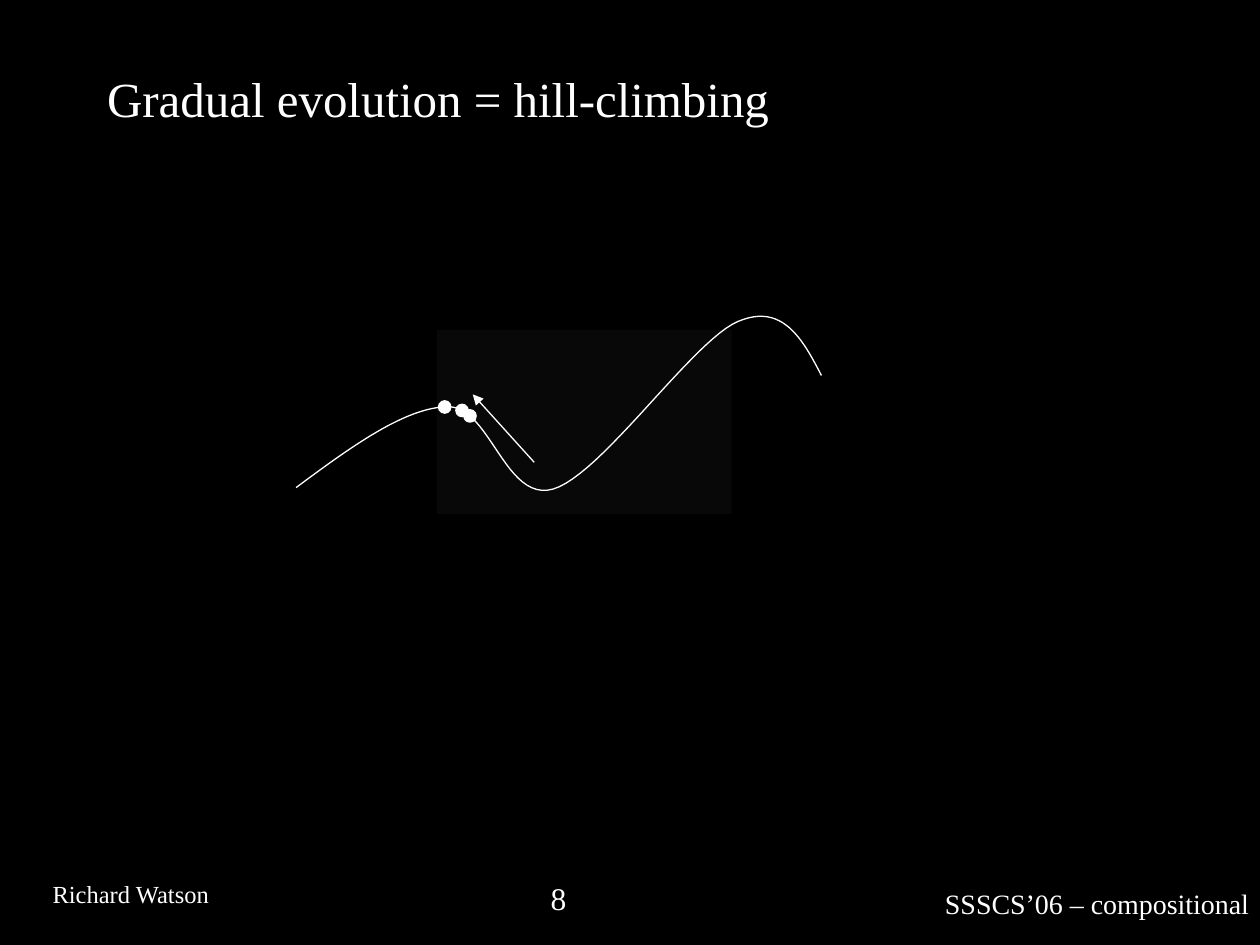
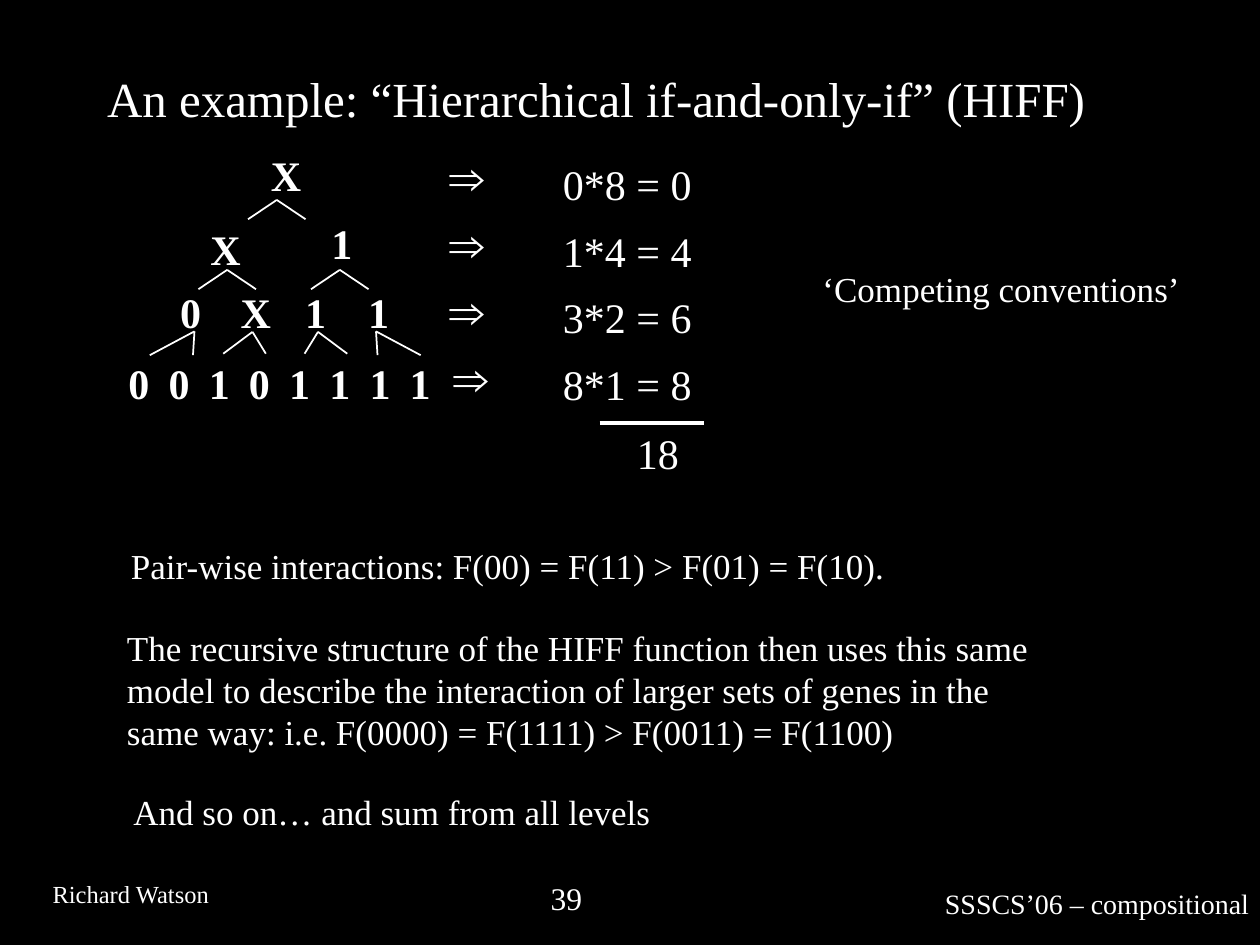
from dataclasses import dataclass

from lxml import etree
from pptx import Presentation
from pptx.dml.color import RGBColor
from pptx.enum.shapes import MSO_CONNECTOR, MSO_SHAPE
from pptx.enum.text import MSO_ANCHOR
from pptx.oxml.ns import qn
from pptx.util import Cm, Pt

STRAIGHT = MSO_CONNECTOR.STRAIGHT
RECTANGLE = MSO_SHAPE.RECTANGLE
OVAL = MSO_SHAPE.OVAL
TOP = MSO_ANCHOR.TOP
MIDDLE = MSO_ANCHOR.MIDDLE


@dataclass(frozen=True)
class Theme:
    background: RGBColor = RGBColor(0, 0, 0)
    ink: RGBColor = RGBColor(255, 255, 255)
    panel: RGBColor = RGBColor(8, 8, 8)
    font: str = "Times New Roman"
    symbol_font: str = "Arial"
    title_size: float = 28
    symbol_size: float = 28
    tree_size: float = 24
    body_size: float = 20
    page_size: float = 18
    event_size: float = 16
    author_size: float = 14
    thin: float = 0.75
    branch: float = 1
    thick: float = 2.25


class Deck:
    def __init__(self, theme):
        self.theme = theme
        self.presentation = Presentation()
        self.presentation.slide_width = Cm(25.4)
        self.presentation.slide_height = Cm(19.05)
        self.slide = None

    def add_slide(self, title, number):
        theme = self.theme
        self.slide = self.presentation.slides.add_slide(self.presentation.slide_layouts[6])
        fill = self.slide.background.fill
        fill.solid()
        fill.fore_color.rgb = theme.background
        self.text("SSSCS’06 – compositional", 18.8, 17.75, 7.19, 0.91, theme.event_size)
        self.text("Richard Watson", 0.81, 17.6, 3.8, 0.86, theme.author_size)
        self.text(str(number), 10.85, 17.6, 3.15, 1.02, theme.page_size)
        self.text(title, 1.91, 1.04, 21.59, 1.85, theme.title_size, anchor=MIDDLE)

    def text(self, words, left, top, width, height, size, font=None, bold=False,
             padded=True, anchor=TOP):
        shape = self.slide.shapes.add_textbox(Cm(left), Cm(top), Cm(width), Cm(height))
        frame = shape.text_frame
        frame.word_wrap = True
        frame.vertical_anchor = anchor
        frame.margin_left = frame.margin_right = Cm(0.25 if padded else 0)
        frame.margin_top = frame.margin_bottom = Cm(0.13 if padded else 0)
        run = frame.paragraphs[0].add_run()
        run.text = words
        run.font.name = font or self.theme.font
        run.font.size = Pt(size)
        run.font.bold = bold
        run.font.color.rgb = self.theme.ink

    def tree_text(self, words, left, top, width, bold=False):
        self.text(words, left, top, width, 1.02, self.theme.tree_size,
                  bold=bold, padded=False)

    def shape(self, kind, left, top, width, height, color, outlined=False):
        shape = self.slide.shapes.add_shape(kind, Cm(left), Cm(top), Cm(width), Cm(height))
        shape.shadow.inherit = False
        shape.fill.solid()
        shape.fill.fore_color.rgb = color
        if outlined:
            self.stroke(shape.line, self.theme.thin)
        else:
            shape.line.fill.background()

    def stroke(self, line, weight):
        line.color.rgb = self.theme.ink
        line.width = Pt(weight)

    def line(self, start, end, weight, arrow=False):
        connector = self.slide.shapes.add_connector(
            STRAIGHT, Cm(start[0]), Cm(start[1]), Cm(end[0]), Cm(end[1]))
        self.stroke(connector.line, weight)
        properties = connector._element.spPr
        if arrow:
            etree.SubElement(properties.find(qn("a:ln")), qn("a:tailEnd"), type="triangle")
        etree.SubElement(properties, qn("a:effectLst"))

    def fork(self, apex_x, apex_y, left_reach, right_reach, drop):
        for reach in (left_reach, right_reach):
            self.line((apex_x, apex_y), (apex_x + reach, apex_y + drop), self.theme.branch)

    def curve(self, start, segments, steps=24):
        points = [start]
        for control_a, control_b, end in segments:
            origin = points[-1]
            for step in range(1, steps + 1):
                t = step / steps
                u = 1 - t
                points.append(tuple(
                    u**3 * p + 3 * u * u * t * a + 3 * u * t * t * b + t**3 * q
                    for p, a, b, q in zip(origin, control_a, control_b, end)))
        vertices = [(Cm(x), Cm(y)) for x, y in points]
        builder = self.slide.shapes.build_freeform(*vertices[0])
        builder.add_line_segments(vertices[1:], close=False)
        shape = builder.convert_to_shape()
        shape.shadow.inherit = False
        shape.fill.background()
        self.stroke(shape.line, self.theme.thin)


def add_hill_climbing(deck):
    theme = deck.theme
    deck.add_slide("Gradual evolution = hill-climbing", 8)
    deck.shape(RECTANGLE, 8.81, 6.65, 5.94, 3.71, theme.panel)
    deck.curve((5.97, 9.83), [
        ((7.06, 9.02), (8.18, 8.2), (9.04, 8.2)),
        ((9.88, 8.2), (10.19, 10.13), (11.15, 9.86)),
        ((12.12, 9.58), (13.97, 6.86), (14.88, 6.48)),
        ((15.77, 6.1), (16.18, 6.83), (16.56, 7.57)),
    ])
    for left, top in ((9.19, 8.15), (8.84, 8.08), (9.35, 8.26)):
        deck.shape(OVAL, left, top, 0.25, 0.25, theme.ink, outlined=True)
    deck.line((10.77, 9.32), (9.53, 7.95), theme.thin, arrow=True)


def add_hiff_example(deck):
    theme = deck.theme
    deck.add_slide("An example: “Hierarchical if-and-only-if” (HIFF)", 39)

    nodes = [("X", 5.46, 3.02), ("X", 4.24, 4.5), ("1", 6.68, 4.39),
             ("0", 3.63, 5.78), ("X", 4.85, 5.78), ("1", 6.15, 5.78), ("1", 7.42, 5.78)]
    nodes += [(bit, 2.59 + 0.81 * index, 7.21) for index, bit in enumerate("00101111")]
    for symbol, left, top in nodes:
        deck.tree_text(symbol, left, top, 0.8 if symbol == "X" else 0.43, bold=True)

    for apex_x, apex_y in ((5.58, 4.03), (4.58, 5.44), (6.85, 5.44)):
        deck.fork(apex_x, apex_y, -0.58, 0.58, 0.39)
    deck.fork(3.92, 6.68, -0.9, -0.03, 0.48)
    deck.fork(5.09, 6.69, -0.59, 0.27, 0.44)
    deck.fork(6.41, 6.69, -0.27, 0.59, 0.44)
    deck.fork(7.58, 6.68, 0.03, 0.9, 0.48)

    for level, score in enumerate(("0*8 = 0", "1*4 = 4", "3*2 = 6", "8*1 = 8")):
        arrow_left = 8.89 if level == 3 else 8.81
        deck.text("⇒", arrow_left, 2.82 + 1.35 * level, 1.3, 1.45,
                  theme.symbol_size, font=theme.symbol_font)
        deck.tree_text(score, 11.35, 3.2 + 1.34 * level, 2.7)
    deck.line((12.09, 8.53), (14.2, 8.53), theme.thick)
    deck.tree_text("18", 12.84, 8.61, 0.9)

    for words, left, top, width, height in (
        ("‘Competing conventions’", 16.33, 5.26, 7.9, 1.12),
        ("Pair-wise interactions: F(00) = F(11) > F(01) = F(10).", 2.39, 10.85, 17.45, 1.12),
        ("The recursive structure of the HIFF function then uses this same model to "
         "describe the interaction of larger sets of genes in the same way: "
         "i.e. F(0000) = F(1111) > F(0011) = F(1100)", 2.31, 12.5, 19.35, 2.79),
        ("And so on… and sum from all levels", 2.44, 15.8, 18.16, 1.12),
    ):
        deck.text(words, left, top, width, height, theme.body_size)


def main():
    deck = Deck(Theme())
    add_hill_climbing(deck)
    add_hiff_example(deck)
    deck.presentation.save("out.pptx")


if __name__ == "__main__":
    main()
